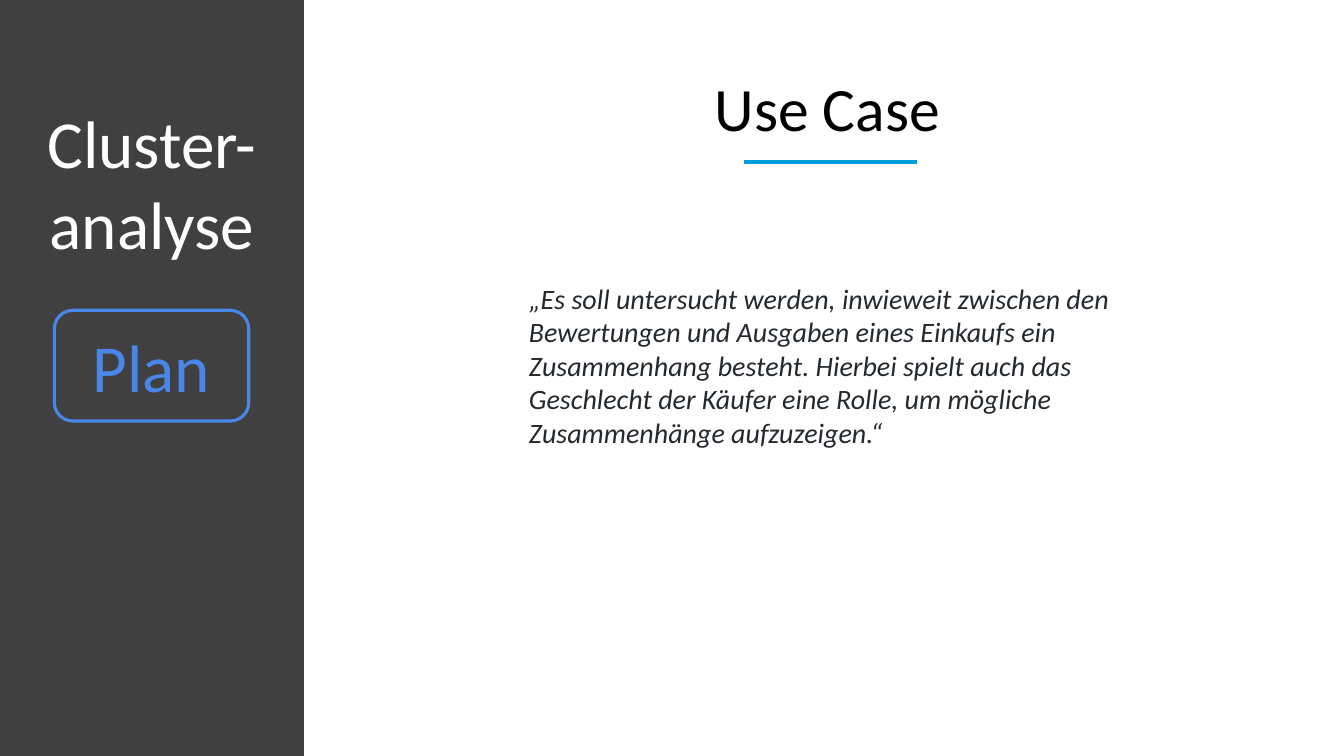
from dataclasses import dataclass

from lxml.etree import SubElement
from pptx import Presentation
from pptx.dml.color import RGBColor as RGB
from pptx.enum.shapes import MSO_CONNECTOR as Connector, MSO_SHAPE as Shape
from pptx.enum.text import MSO_ANCHOR as Anchor, PP_ALIGN as Align
from pptx.oxml.ns import qn
from pptx.util import Cm, Pt


@dataclass(frozen=True)
class Theme:
    font: str = "Calibri"
    sidebar: RGB = RGB(0x40, 0x40, 0x40)
    topic: RGB = RGB(0xFF, 0xFF, 0xFF)
    phase: RGB = RGB(0x4A, 0x86, 0xE8)
    title: RGB = RGB(0, 0, 0)
    accent: RGB = RGB(0x00, 0x9D, 0xD9)
    quote: RGB = RGB(0x24, 0x29, 0x2F)
    topic_size: int = 48
    title_size: int = 44
    quote_size: int = 20


class SlideBuilder:
    def __init__(self, slide, theme):
        self.shapes = slide.shapes
        self.theme = theme

    def label(self, element, text, size, color, align=Align.CENTER, **extra):
        """Put one formatted paragraph into an element."""
        element.text_frame.word_wrap = True
        paragraph = element.text_frame.paragraphs[0]
        paragraph.alignment = align
        run = paragraph.add_run()
        run.text = text
        run.font.color.rgb = color
        style = {"name": self.theme.font, "size": Pt(size), **extra}
        for attribute, value in style.items():
            setattr(run.font, attribute, value)

    def text(self, box, *content, **style):
        self.label(self.shapes.add_textbox(*map(Cm, box)), *content, **style)

    def panel(self, kind, box, line_color, line_width, fill=None):
        panel = self.shapes.add_shape(kind, *map(Cm, box))
        panel.shadow.inherit = False
        if fill is None:
            panel.fill.background()
        else:
            panel.fill.solid()
            panel.fill.fore_color.rgb = fill
        panel.line.color.rgb = line_color
        panel.line.width = Pt(line_width)
        panel.text_frame.vertical_anchor = Anchor.MIDDLE
        return panel

    def rule(self, left, right, y, color, width):
        rule = self.shapes.add_connector(
            Connector.STRAIGHT, Cm(left), Cm(y), Cm(right), Cm(y))
        rule.line.color.rgb = color
        rule.line.width = Pt(width)
        SubElement(rule._element.spPr, qn("a:effectLst"))


def main():
    deck = Presentation()
    deck.slide_width, deck.slide_height = Cm(33.87), Cm(19.05)
    theme = Theme()
    page = SlideBuilder(deck.slides.add_slide(deck.slide_layouts[6]), theme)

    # Sidebar with topic and current phase
    page.panel(Shape.RECTANGLE, (0, 0, 7.65, 19.05), theme.sidebar, 1.1, theme.sidebar)
    page.text((0.3, 2.44, 7.06, 4.37), "Cluster-analyse", theme.topic_size, theme.topic)
    phase = page.panel(Shape.ROUNDED_RECTANGLE, (1.37, 7.82, 4.9, 2.79), theme.phase, 2.25)
    page.label(phase, "Plan", theme.topic_size, theme.phase)

    # Underlined title
    page.text((13.72, 1.63, 14.27, 2.13), "Use Case", theme.title_size, theme.title)
    page.rule(18.75, 23.11, 4.09, theme.accent, 3)

    # Research question
    question = (
        "„Es soll untersucht werden, inwieweit zwischen den Bewertungen und "
        "Ausgaben eines Einkaufs ein Zusammenhang besteht. Hierbei spielt auch "
        "das Geschlecht der Käufer eine Rolle, um mögliche Zusammenhänge "
        "aufzuzeigen.“"
    )
    page.text((13.08, 6.96, 15.7, 4.52), question, theme.quote_size, theme.quote,
              align=Align.LEFT, italic=True)

    deck.save("out.pptx")


if __name__ == "__main__":
    main()
